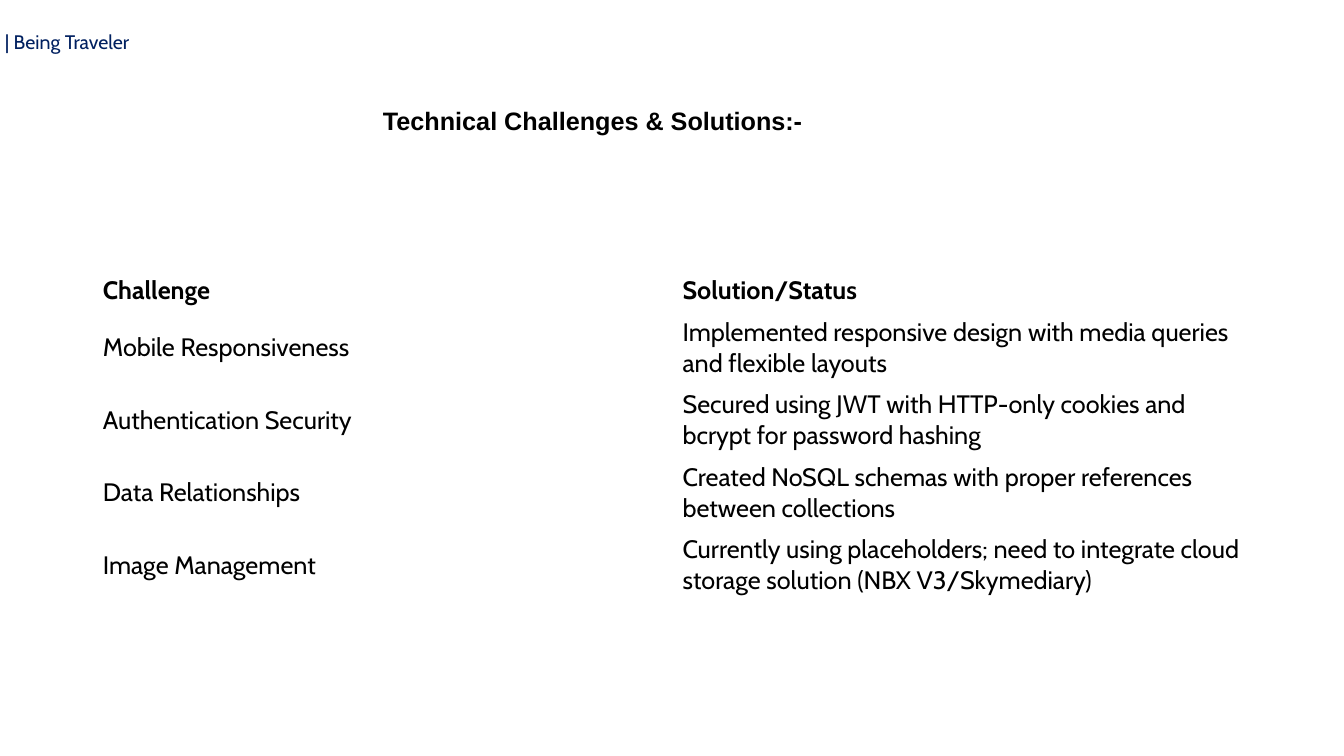
from pptx import Presentation
from pptx import util as u
from pptx.dml.color import RGBColor
from pptx.enum import text

BRAND = "| Being Traveler"
HEADING = "Technical Challenges & Solutions:-"
CHALLENGES = [
    ("Challenge", "Solution/Status"),
    ("Mobile Responsiveness",
     "Implemented responsive design with media queries and flexible layouts"),
    ("Authentication Security",
     "Secured using JWT with HTTP-only cookies and bcrypt for password hashing"),
    ("Data Relationships",
     "Created NoSQL schemas with proper references between collections"),
    ("Image Management",
     "Currently using placeholders; need to integrate cloud storage solution (NBX V3/Skymediary)"),
]

THEME = {
    "body_font": "Cabin",
    "heading_font": "Arial",
    "ink": RGBColor(0x00, 0x00, 0x00),
    "brand": RGBColor(0x00, 0x20, 0x60),
    "size": u.Pt(18),
    "brand_size": u.Pt(14),
}
HEADER_HEIGHT, ROW_HEIGHT = 0.41, 0.72
TABLE_LEFT, TABLE_TOP, TABLE_WIDTH = 0.92, 2.68, 11.5


def write(paragraph, words, font="body_font", size="size", color="ink", bold=False):
    run = paragraph.add_run()
    run.text = words
    run.font.name = THEME[font]
    run.font.size = THEME[size]
    run.font.color.rgb = THEME[color]
    run.font.bold = bold


def add_frame(slide, box, anchor):
    frame = slide.shapes.add_textbox(*map(u.Inches, box)).text_frame
    frame.word_wrap = True
    frame.vertical_anchor = anchor
    return frame


def add_challenges(slide):
    height = HEADER_HEIGHT + ROW_HEIGHT * (len(CHALLENGES) - 1)
    box = map(u.Inches, (TABLE_LEFT, TABLE_TOP, TABLE_WIDTH, height))
    grid = slide.shapes.add_table(len(CHALLENGES), len(CHALLENGES[0]), *box).table
    grid.first_row = grid.horz_banding = False
    for index, entries in enumerate(CHALLENGES):
        header = index == 0
        grid.rows[index].height = u.Inches(HEADER_HEIGHT if header else ROW_HEIGHT)
        for column, words in enumerate(entries):
            cell = grid.cell(index, column)
            cell.fill.background()
            cell.vertical_anchor = text.MSO_ANCHOR.MIDDLE
            write(cell.text_frame.paragraphs[0], words, bold=header)


def main():
    deck = Presentation()
    deck.slide_width, deck.slide_height = u.Inches(13.33), u.Inches(7.5)
    slide = deck.slides.add_slide(deck.slide_layouts[6])

    brand = add_frame(slide, (-1.33, 0, 3.99, 0.58), text.MSO_ANCHOR.BOTTOM).paragraphs[0]
    brand.alignment = text.PP_ALIGN.CENTER
    brand.line_spacing = 0.9
    write(brand, BRAND, size="brand_size", color="brand")

    add_challenges(slide)

    heading = add_frame(slide, (3.7, 0.97, 5.12, 0.71), text.MSO_ANCHOR.MIDDLE)
    heading.margin_bottom = u.Inches(0.32)
    write(heading.paragraphs[0], HEADING, font="heading_font", bold=True)

    deck.save("out.pptx")


if __name__ == "__main__":
    main()
